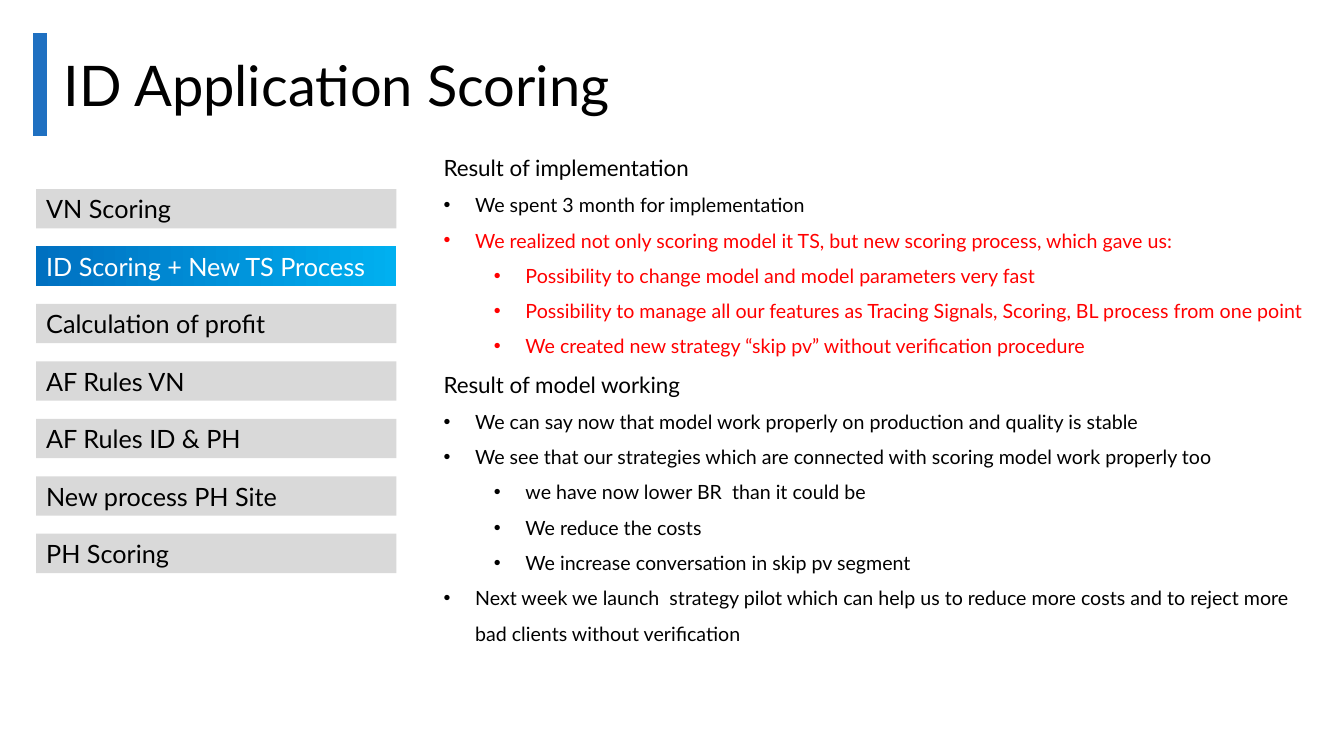
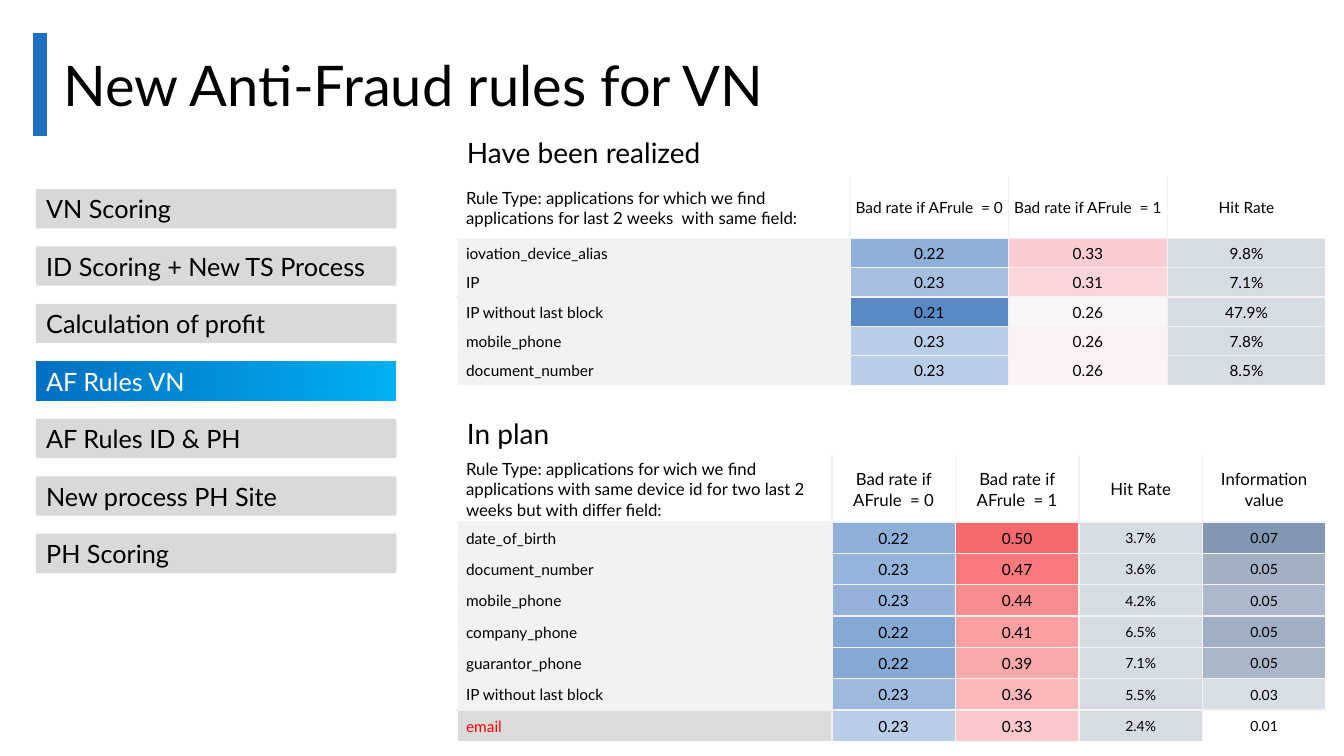
from lxml.etree import SubElement
from pptx import Presentation
from pptx.dml.color import RGBColor
from pptx.enum.shapes import MSO_CONNECTOR, MSO_SHAPE
from pptx.enum.text import MSO_ANCHOR, MSO_AUTO_SIZE, PP_ALIGN
from pptx.oxml.ns import qn
from pptx.util import Inches, Pt

SLIDE_WIDTH = Inches(13.33)
SLIDE_HEIGHT = Inches(7.5)
FONT = "Lato"
COLORS = {
    "text": "000000",
    "selected_text": "FFFFFF",
    "accent": "1F70C1",
    "highlight": "FF0000",
    "menu": "D9D9D9",
    "menu_start": "0070C0",
    "menu_end": "00B0F0",
    "border": "F2F2F2",
    "label": "F2F2F2",
    "label_marked": "DBDBDB",
    "hit_rate": "D6DCE4",
}
REALIZED_SHADES = {
    "rule": [COLORS["label"]] * 5,
    "bad_rate_0": ["8EAFD8", "A6BFE0", "5A8AC6", "B9CDE7", "B9CDE7"],
    "bad_rate_1": ["FBCCCF", "FBD5D8", "FCF6F9", "FCF1F4", "FCF3F6"],
    "hit_rate": [COLORS["hit_rate"]] * 5,
}
PLANNED_SHADES = {
    "rule": [COLORS["label"]] * 6 + [COLORS["label_marked"]],
    "bad_rate_0": ["8EAFD8", "95B4DB", "95B3DA", "85A8D5", "85A8D5", "9DB9DD", "BACDE7"],
    "bad_rate_1": ["F8696B", "F97A7D", "F98C8E", "FA9FA2", "FAA9AB", "FBB8BA", "FBC9CC"],
    "hit_rate": [COLORS["hit_rate"]] * 7,
    "information": ["8497B0", "A2B0C3", "ACB9CA", "A0AFC2", "A9B7C8", "D8DEE6", "FFFFFF"],
}
MENU = [
    "VN Scoring",
    "ID Scoring + New TS Process",
    "Calculation of profit",
    "AF Rules VN",
    "AF Rules ID & PH",
    "New process PH Site",
    "PH Scoring",
]
HEADING, BULLET, SUB_BULLET = None, 0, 1
RESULTS = [
    (HEADING, "text", "Result of implementation"),
    (BULLET, "text", "We spent 3 month for implementation"),
    (BULLET, "highlight", "We realized not only scoring model it TS, but new scoring process, which gave us:"),
    (SUB_BULLET, "highlight", "Possibility to change model and model parameters very fast"),
    (SUB_BULLET, "highlight", "Possibility to manage all our features as Tracing Signals, Scoring, BL process from one point"),
    (SUB_BULLET, "highlight", "We created new strategy “skip pv” without verification procedure"),
    (HEADING, "text", "Result of model working"),
    (BULLET, "text", "We can say now that model work properly on production and quality is stable"),
    (BULLET, "text", "We see that our strategies which are connected with scoring model work properly too"),
    (SUB_BULLET, "text", "we have now lower BR  than it could be"),
    (SUB_BULLET, "text", "We reduce the costs"),
    (SUB_BULLET, "text", "We increase conversation in skip pv segment"),
    (BULLET, "text", "Next week we launch  strategy pilot which can help us to reduce more costs and to reject more bad clients without verification"),
]
REALIZED = [
    ("Rule Type: applications for which we find applications for last 2 weeks  with same field:",
     "Bad rate if AFrule  = 0", "Bad rate if AFrule  = 1", "Hit Rate"),
    ("iovation_device_alias", "0.22", "0.33", "9.8%"),
    ("IP", "0.23", "0.31", "7.1%"),
    ("IP without last block", "0.21", "0.26", "47.9%"),
    ("mobile_phone", "0.23", "0.26", "7.8%"),
    ("document_number", "0.23", "0.26", "8.5%"),
]
PLANNED = [
    ("Rule Type: applications for wich we find applications with same device id for two last 2 weeks but with differ field:",
     "Bad rate if AFrule  = 0", "Bad rate if AFrule  = 1", "Hit Rate", "Information value"),
    ("date_of_birth", "0.22", "0.50", "3.7%", "0.07"),
    ("document_number", "0.23", "0.47", "3.6%", "0.05"),
    ("mobile_phone", "0.23", "0.44", "4.2%", "0.05"),
    ("company_phone", "0.22", "0.41", "6.5%", "0.05"),
    ("guarantor_phone", "0.22", "0.39", "7.1%", "0.05"),
    ("IP without last block", "0.23", "0.36", "5.5%", "0.03"),
    ("email", "0.23", "0.33", "2.4%", "0.01"),
]


def across(percent):
    return round(SLIDE_WIDTH * percent / 100)


def down(percent):
    return round(SLIDE_HEIGHT * percent / 100)


def rgb(hex_string):
    return RGBColor.from_string(hex_string)


def write(paragraph, text, size, color="text"):
    run = paragraph.add_run()
    run.text = text
    run.font.name = FONT
    run.font.size = Pt(size)
    run.font.color.rgb = rgb(COLORS[color])


def place(placeholder, left, top, width, height):
    placeholder.left, placeholder.top = across(left), down(top)
    placeholder.width, placeholder.height = across(width), down(height)
    frame = placeholder.text_frame
    frame.auto_size = MSO_AUTO_SIZE.NONE
    frame.vertical_anchor = MSO_ANCHOR.TOP
    frame.word_wrap = True
    return frame


def add_title(slide, text):
    accent = slide.shapes.add_connector(
        MSO_CONNECTOR.STRAIGHT, across(3), down(4.4), across(3), down(18))
    accent.line.color.rgb = rgb(COLORS["accent"])
    accent.line.width = Pt(9.75)
    SubElement(accent._element.spPr, qn("a:effectLst"))
    paragraph = place(slide.shapes.title, 3.98, 6, 74.1, 10.3).paragraphs[0]
    paragraph.alignment = PP_ALIGN.LEFT
    write(paragraph, text, 40)


def add_menu(slide, selected):
    for index, topic in enumerate(MENU):
        button = slide.shapes.add_shape(
            MSO_SHAPE.RECTANGLE, across(2.7), down(25 + 7.6 * index), across(26.8), down(5.2))
        button.shadow.inherit = False
        button.line.fill.background()
        active = topic == selected
        if active:
            button.fill.gradient()
            button.fill.gradient_angle = 0
            for stop, position, name in zip(
                    button.fill.gradient_stops, (0, 1), ("menu_start", "menu_end")):
                stop.position = position
                stop.color.rgb = rgb(COLORS[name])
        else:
            button.fill.solid()
            button.fill.fore_color.rgb = rgb(COLORS["menu"])
        button.text_frame.vertical_anchor = MSO_ANCHOR.MIDDLE
        paragraph = button.text_frame.paragraphs[0]
        paragraph.alignment = PP_ALIGN.LEFT
        write(paragraph, topic, 18, "selected_text" if active else "text")


def set_bullet(paragraph, level):
    properties = paragraph._p.get_or_add_pPr()
    if level is HEADING:
        properties.set("marL", "0")
        properties.set("indent", "0")
        SubElement(properties, qn("a:buNone"))
    else:
        paragraph.level = level
        properties.set("marL", str(across(2.35 + 3.75 * level)))
        properties.set("indent", str(-across(2.35)))
        SubElement(properties, qn("a:buFont")).set("typeface", "Arial")
        SubElement(properties, qn("a:buChar")).set("char", "•")


def add_results(slide, results):
    frame = place(slide.placeholders[1], 32.25, 18, 66.75, 68.7)
    for index, (level, color, text) in enumerate(results):
        paragraph = frame.add_paragraph() if index else frame.paragraphs[0]
        set_bullet(paragraph, level)
        paragraph.line_spacing = 1.5
        paragraph.space_before = Pt(0)
        write(paragraph, text, 16 if level is HEADING else 14, color)


def add_section(slide, text, top, width):
    section = slide.shapes.add_textbox(across(34), down(top), across(width), down(5.9))
    section.text_frame.word_wrap = False
    write(section.text_frame.paragraphs[0], text, 20)


def add_border(cell, side):
    border = SubElement(cell._tc.get_or_add_tcPr(), qn(f"a:ln{side}"), w=str(Pt(1)))
    fill = SubElement(border, qn("a:solidFill"))
    SubElement(fill, qn("a:srgbClr"), val=COLORS["border"])


def format_cell(cell, is_label, sides, shade):
    cell.margin_left = Inches(0.09 if is_label else 0.01)
    cell.margin_right = cell.margin_top = Inches(0.01)
    cell.margin_bottom = 0
    cell.vertical_anchor = MSO_ANCHOR.MIDDLE
    for side in sides:
        add_border(cell, side)
    if shade:
        cell.fill.solid()
        cell.fill.fore_color.rgb = rgb(shade)
    else:
        cell.fill.background()


def add_rules(slide, rows, shades, top, widths, heights, header_sizes, sizes):
    last_row, last_column = len(rows) - 1, len(widths) - 1
    header_height, row_height = heights
    rules = slide.shapes.add_table(
        len(rows), len(widths), across(34), down(top), across(sum(widths)),
        down(header_height + row_height * last_row)).table
    rules.first_row = rules.horz_banding = False
    for column, width in zip(rules.columns, widths):
        column.width = across(width)
    row_shades = [[None] * len(widths), *zip(*shades.values())]
    for r, (values, fills) in enumerate(zip(rows, row_shades)):
        rules.rows[r].height = down(row_height if r else header_height)
        for c, (value, shade) in enumerate(zip(values, fills)):
            cell = rules.cell(r, c)
            inner = {"L": c > 0, "R": c < last_column, "T": r > 0, "B": r < last_row}
            format_cell(cell, c == 0, [side for side, shown in inner.items() if shown], shade)
            paragraph = cell.text_frame.paragraphs[0]
            paragraph.alignment = PP_ALIGN.CENTER if c else PP_ALIGN.LEFT
            marked = shade == COLORS["label_marked"]
            write(paragraph, value, (sizes if r else header_sizes)[c],
                  "highlight" if marked else "text")


def add_topic(deck, layout, title, selected):
    slide = deck.slides.add_slide(deck.slide_layouts.get_by_name(layout))
    add_title(slide, title)
    add_menu(slide, selected)
    return slide


def main():
    deck = Presentation()
    deck.slide_width, deck.slide_height = SLIDE_WIDTH, SLIDE_HEIGHT

    scoring = add_topic(deck, "Title and Content", "ID Application Scoring", MENU[1])
    add_results(scoring, RESULTS)

    fraud = add_topic(deck, "Title Only", "New Anti-Fraud rules for VN", MENU[3])
    add_rules(fraud, REALIZED, REALIZED_SHADES, 23.4, [29.25] + [11.8] * 3, (8.1, 3.89),
              [12, 11, 11, 11], [11] * 4)
    add_rules(fraud, PLANNED, PLANNED_SHADES, 60.3, [27.9] + [9.19] * 4, (8.75, 4.15),
              [12] * 5, [11, 11, 11, 10, 10])
    add_section(fraud, "Have been realized", 17.3, 20.2)
    add_section(fraud, "In plan", 54.4, 8)

    deck.save("out.pptx")


if __name__ == "__main__":
    main()
